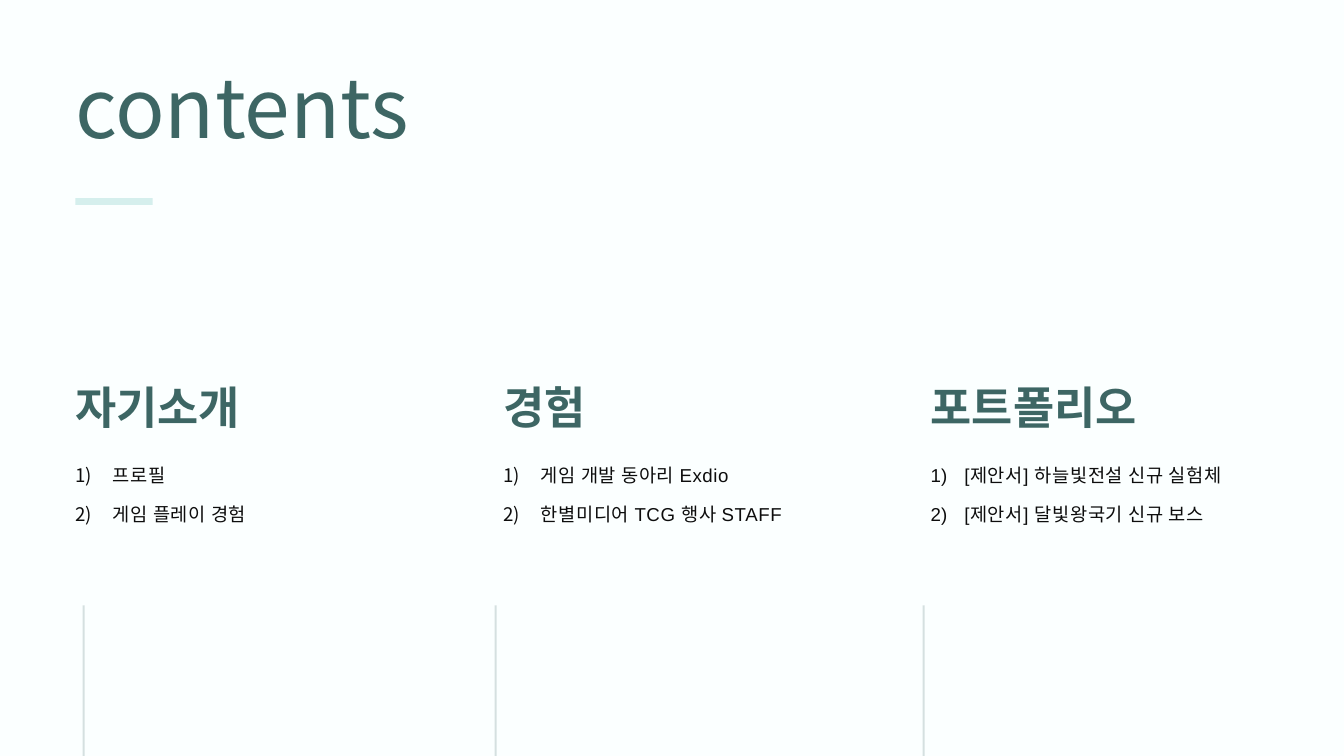
from lxml import etree
from pptx import Presentation
from pptx.dml.color import RGBColor
from pptx.enum import shapes, text
from pptx.oxml import ns
from pptx.util import Inches, Pt

PAPER = RGBColor(0xFB, 0xFF, 0xFF)
GREEN = RGBColor(0x3D, 0x66, 0x64)
MINT = RGBColor(0xD5, 0xEF, 0xED)
INK = RGBColor(0x0D, 0x0D, 0x0D)
SANS = "Noto Sans CJK KR"
LATIN = "Arial"

TOPICS = [
    (1.12, 5.02, 0.56, SANS, "자기소개", ["프로필", "게임 플레이 경험"]),
    (7.49, 5.59, 0.56, SANS, "경험",
     ["게임 개발 동아리 Exdio", "한별미디어 TCG 행사 STAFF"]),
    (13.85, 5.02, 0.5, LATIN, "포트폴리오",
     ["[제안서] 하늘빛전설 신규 실험체", "[제안서] 달빛왕국기 신규 보스"]),
]
RULES = [1.23, 7.36, 13.73]


def add_tag(node, name, **attrs):
    """Append a drawing element to a node."""
    tag = etree.SubElement(node, ns.qn(name))
    for key, value in attrs.items():
        tag.set(key, value)


def number(para, indent, face):
    """Give a paragraph a hanging automatic number."""
    props = para._p.get_or_add_pPr()
    props.set("marL", str(Inches(indent)))
    props.set("indent", str(-Inches(indent)))
    add_tag(props, "a:buFont", typeface=face)
    add_tag(props, "a:buAutoNum", type="arabicParenR")


def write(slide, box, lines, size, color, face=LATIN, bold=False,
          lead=42, indent=None, mark=None):
    """Place a text box without margins in the given box."""
    frame = slide.shapes.add_textbox(*map(Inches, box)).text_frame
    frame.word_wrap = True
    frame.auto_size = text.MSO_AUTO_SIZE.NONE
    frame.margin_left = frame.margin_right = 0
    frame.margin_top = frame.margin_bottom = 0
    frame.text = "\n".join(lines)
    for para in frame.paragraphs:
        para.line_spacing = Pt(lead)
        if indent:
            number(para, indent, mark)
        font = para.font
        font.size, font.bold, font.name = Pt(size), bold, face
        font.color.rgb = color
        props = para._p.get_or_add_pPr().get_or_add_defRPr()
        add_tag(props, "a:ea", typeface=SANS)
        if indent:
            props.set("spc", "60")


def add_bar(slide, box, color, alpha=None):
    """Place a plain filled rectangle in the given box."""
    bar = slide.shapes.add_shape(shapes.MSO_SHAPE.RECTANGLE, *map(Inches, box))
    bar.shadow.inherit = False
    bar.line.fill.background()
    bar.fill.solid()
    bar.fill.fore_color.rgb = color
    if alpha:
        tint = bar._element.spPr.find(".//" + ns.qn("a:srgbClr"))
        add_tag(tint, "a:alpha", val=str(alpha * 1000))


def add_head(slide, left, top, width):
    """Place the title and its accent bar."""
    write(slide, (left, top, width, 1.05), ["contents"], 88, GREEN, SANS, lead=72)
    add_bar(slide, (left, top + 1.65, 1.15, 0.1), MINT)


def add_topic(slide, left, top, width, indent, mark, name, items):
    """Place a heading with its numbered list."""
    write(slide, (left, top + 0.78, width, 1.09), items, 20, INK,
          indent=indent, mark=mark)
    write(slide, (left, top, width, 0.6), [name], 48, GREEN, bold=True)


def main():
    """Build and save the contents slide."""
    deck = Presentation()
    deck.slide_width, deck.slide_height = Inches(20), Inches(11.25)
    slide = deck.slides.add_slide(deck.slide_layouts[6])
    slide.background.fill.solid()
    slide.background.fill.fore_color.rgb = PAPER
    add_head(slide, 1.12, 1.3, 14.6)
    for left, width, *rest in TOPICS:
        add_topic(slide, left, 5.87, width, *rest)
    for left in RULES:
        add_bar(slide, (left, 9.01, 0.03, 4.05), GREEN, 20)
    deck.save("out.pptx")


if __name__ == "__main__":
    main()
